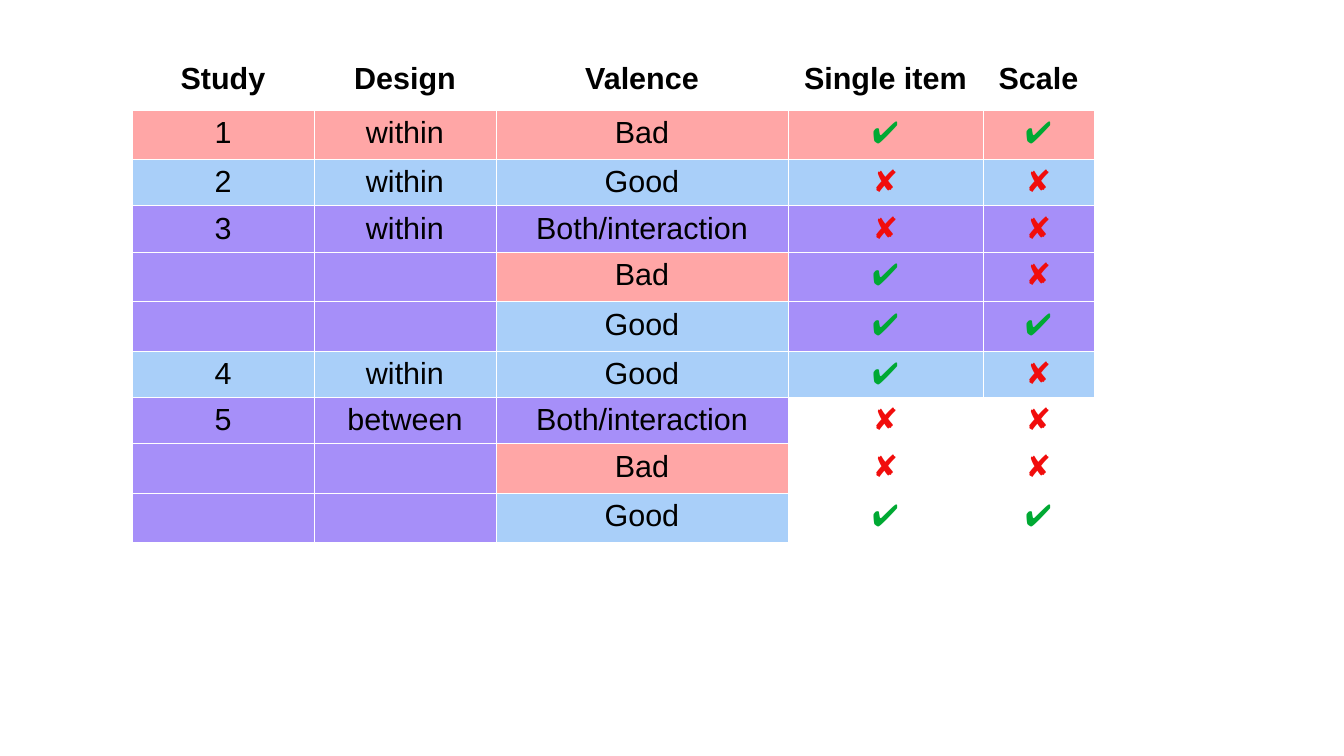
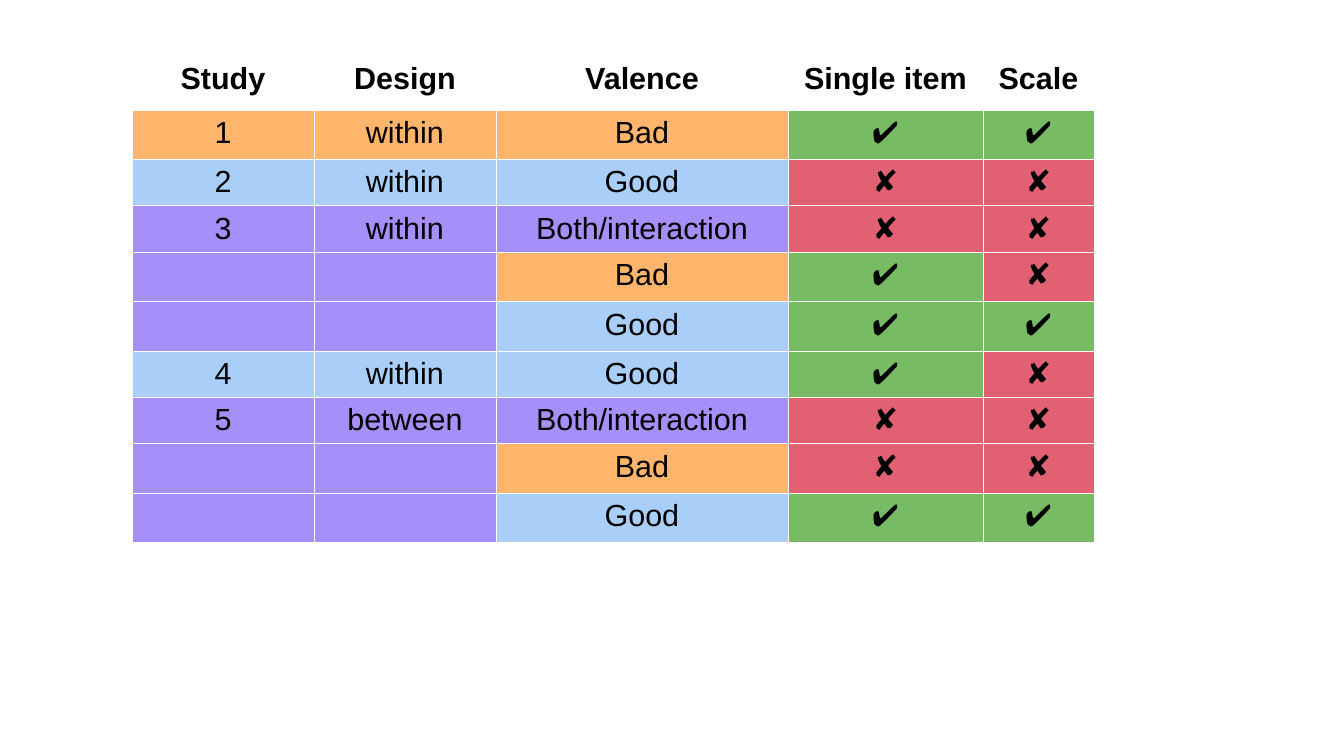
"""Build two colour-coded tables of study results."""
from dataclasses import dataclass

from lxml.etree import SubElement
from pptx import Presentation
from pptx.dml.color import RGBColor
from pptx.enum.text import PP_ALIGN
from pptx.oxml.ns import qn
from pptx.util import Emu, Pt


@dataclass(frozen=True)
class Theme:
    """Colours, type and line sizes shared by the slides."""
    font: str = "Arial"
    size: float = 18
    rule: float = 0.06
    black: str = "000000"
    white: str = "FFFFFF"
    pink: str = "FFA6A6"
    orange: str = "FFB66C"
    blue: str = "A9CFF9"
    purple: str = "A68FF9"
    green: str = "77BC65"
    red: str = "E16173"
    tick: str = "00A933"
    cross: str = "F10D0C"


THEME = Theme()
YES, NO = "✔", "✘"
BOTH = "Both/interaction"
HEADS = ("Study", "Design", "Valence", "Single item", "Scale")
ROWS = (
    ("1", "within", "Bad", YES, YES),
    ("2", "within", "Good", NO, NO),
    ("3", "within", BOTH, NO, NO),
    ("", "", "Bad", YES, NO),
    ("", "", "Good", YES, YES),
    ("4", "within", "Good", YES, NO),
    ("5", "between", BOTH, NO, NO),
    ("", "", "Bad", NO, NO),
    ("", "", "Good", YES, YES),
)
LEFT, TOP = 132, 56
WIDTHS = (182, 182, 292, 195, 111)
HEIGHTS = (54, 49) + (46,) * (len(ROWS) - 1)


def px(count):
    """Turn pixels into EMU."""
    return Emu(round(count * 914400 / 122))


def tones(bad):
    """Map each valence to its fill, given the colour for bad."""
    return {"Bad": bad, "Good": THEME.blue, BOTH: THEME.purple}


def by_study(mark, study, tone):
    """Colour a mark's ink and fill its cell like its study."""
    ink = THEME.tick if mark == YES else THEME.cross
    return (THEME.white if study == "5" else tone), ink


def by_mark(mark, study, tone):
    """Fill a cell by its mark and keep the ink black."""
    return (THEME.green if mark == YES else THEME.red), THEME.black


def edge(cell):
    """Draw hairlines on all four sides of a cell."""
    props = cell._tc.get_or_add_tcPr()
    for side in ("lnL", "lnR", "lnT", "lnB"):
        line = SubElement(props, qn("a:" + side), w=str(Pt(THEME.rule)))
        fill = SubElement(line, qn("a:solidFill"))
        SubElement(fill, qn("a:srgbClr"), val=THEME.white)


def put(cell, text, fill, ink=THEME.black, bold=False):
    """Write and style one cell."""
    edge(cell)
    cell.fill.solid()
    cell.fill.fore_color.rgb = RGBColor.from_string(fill)
    para = cell.text_frame.paragraphs[0]
    para.text = text
    para.alignment = PP_ALIGN.CENTER
    para.font.size = Pt(THEME.size)
    for run in para.runs:
        run.font.name = THEME.font
        run.font.size = Pt(THEME.size)
        run.font.bold = bold
        run.font.color.rgb = RGBColor.from_string(ink)


def grid(slide):
    """Add the empty table with its column and row sizes."""
    table = slide.shapes.add_table(
        len(HEIGHTS), len(WIDTHS), px(LEFT), px(TOP),
        px(sum(WIDTHS)), px(sum(HEIGHTS))).table
    table.horz_banding = False
    for col, width in zip(table.columns, WIDTHS):
        col.width = px(width)
    for row, height in zip(table.rows, HEIGHTS):
        row.height = px(height)
    return table


def results(slide, bad, paint):
    """Fill a table, colouring its marks with the paint rule."""
    table, fills = grid(slide), tones(bad)
    for col, head in enumerate(HEADS):
        put(table.cell(0, col), head, THEME.white, bold=True)
    study = tone = ""
    for row, (number, design, valence, *marks) in enumerate(ROWS, 1):
        if number:
            study, tone = number, fills[valence]
        put(table.cell(row, 0), number, tone)
        put(table.cell(row, 1), design, tone)
        put(table.cell(row, 2), valence, fills[valence])
        for col, mark in enumerate(marks, 3):
            put(table.cell(row, col), mark, *paint(mark, study, tone))


def main():
    """Build and save the slides."""
    deck = Presentation()
    deck.slide_width, deck.slide_height = px(1344), px(756)
    for bad, paint in ((THEME.pink, by_study), (THEME.orange, by_mark)):
        results(deck.slides.add_slide(deck.slide_layouts[6]), bad, paint)
    deck.save("out.pptx")


main()
